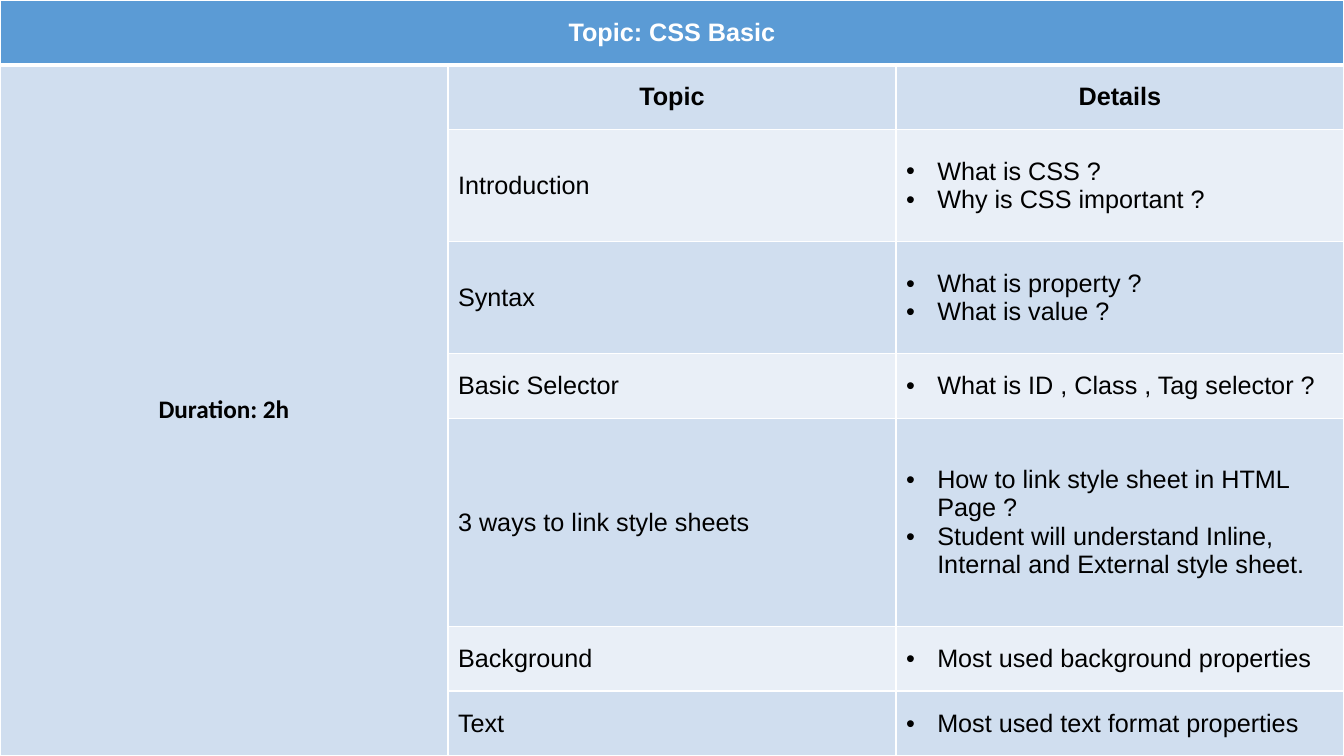
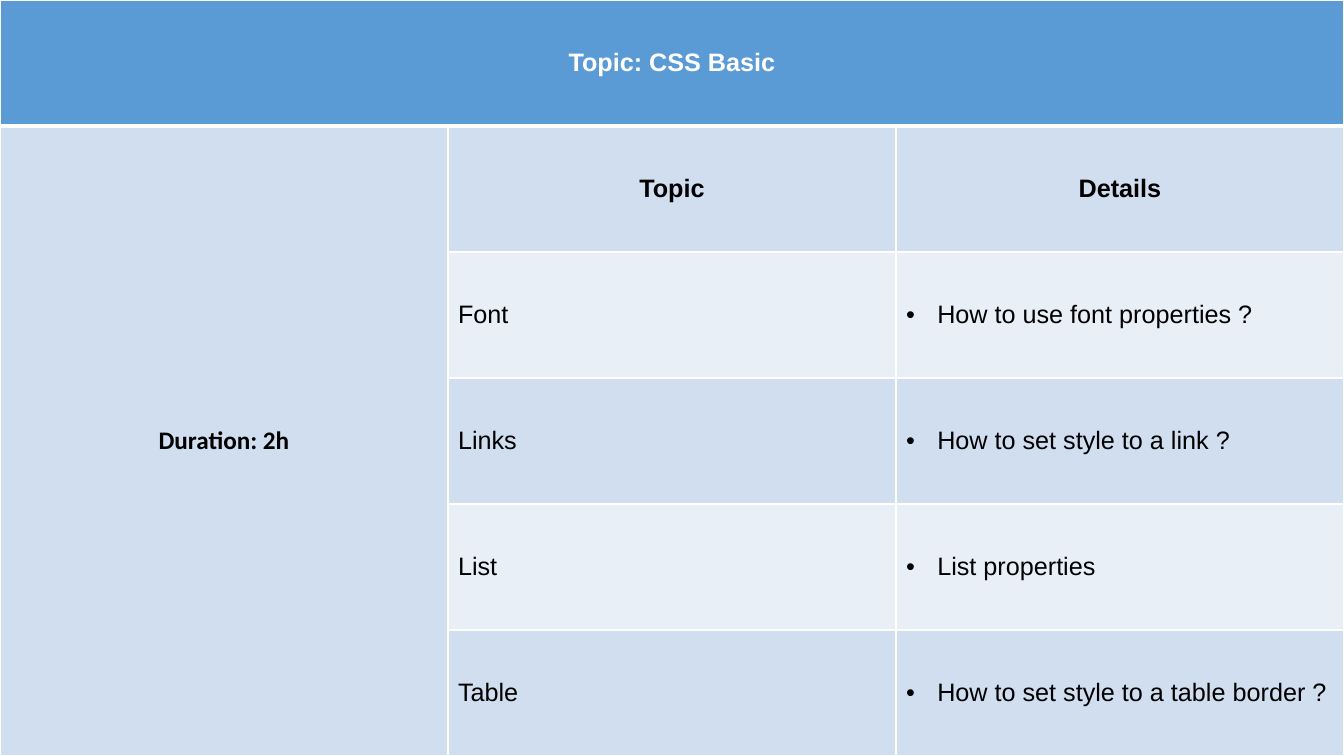
import lxml.etree
import pptx
import pptx.dml.color
import pptx.enum.text
import pptx.oxml.ns
import pptx.util

RGBColor = pptx.dml.color.RGBColor
Inches = pptx.util.Inches
Pt = pptx.util.Pt
ALIGN = pptx.enum.text.PP_ALIGN
qn = pptx.oxml.ns.qn

HEADER_BLUE = RGBColor(0x5B, 0x9B, 0xD5)
DARK_BAND = RGBColor(0xD0, 0xDE, 0xEF)
LIGHT_BAND = RGBColor(0xE9, 0xEF, 0xF7)
WHITE = RGBColor(0xFF, 0xFF, 0xFF)
BLACK = RGBColor(0x00, 0x00, 0x00)

SLIDE_WIDTH = Inches(13.333)
SLIDE_HEIGHT = Inches(7.5)
COLUMNS = 3
HEADER_ROWS = 2
BULLET_INDENT = Inches(0.31)
THIN_LINE = Pt(1)
THICK_LINE = Pt(3)

BASIC_TOPICS = [
    ("Introduction", ["What is CSS ?", "Why is CSS important ?"]),
    ("Syntax", ["What is property ?", "What is value ?"]),
    ("Basic Selector", ["What is ID , Class , Tag selector ?"]),
    ("3 ways to link style sheets", [
        "How to link style sheet in HTML Page ?",
        "Student will understand Inline, Internal and External style sheet.",
    ]),
    ("Background", ["Most used background properties"]),
    ("Text", ["Most used text format properties"]),
]
BASIC_ROW_SHARES = [0.64, 0.64, 1.11, 1.11, 0.64, 2.06, 0.64, 0.64]

STYLING_TOPICS = [
    ("Font", ["How to use font properties ?"]),
    ("Links", ["How to set style to a link ?"]),
    ("List", ["List properties"]),
    ("Table", ["How to set style to a table border ?"]),
]
STYLING_ROW_SHARES = [1] * 6


def add_border(cell, side, width):
    properties = cell._tc.get_or_add_tcPr()
    line = lxml.etree.SubElement(properties, qn(f"a:ln{side}"), w=str(width))
    fill = lxml.etree.SubElement(line, qn("a:solidFill"))
    lxml.etree.SubElement(fill, qn("a:srgbClr"), val=str(WHITE))


def style_cell(cell, row, column):
    add_border(cell, "L", THIN_LINE)
    add_border(cell, "R", THIN_LINE)
    add_border(cell, "T", THICK_LINE if row == 1 else THIN_LINE)
    add_border(cell, "B", THICK_LINE if row == 0 else THIN_LINE)
    cell.fill.solid()
    if row == 0:
        cell.fill.fore_color.rgb = HEADER_BLUE
    elif column == 0 or row % 2:
        cell.fill.fore_color.rgb = DARK_BAND
    else:
        cell.fill.fore_color.rgb = LIGHT_BAND
    cell.vertical_anchor = pptx.enum.text.MSO_ANCHOR.MIDDLE


def add_bullet(para):
    properties = para._p.get_or_add_pPr()
    properties.set("marL", str(BULLET_INDENT))
    properties.set("indent", str(-BULLET_INDENT))
    color = lxml.etree.SubElement(properties, qn("a:buClr"))
    lxml.etree.SubElement(color, qn("a:srgbClr"), val=str(BLACK))
    lxml.etree.SubElement(properties, qn("a:buFont"), typeface="Arial")
    lxml.etree.SubElement(properties, qn("a:buChar"), char="•")


def write_cell(cell, lines, bold=False, bulleted=False, color=BLACK, font="Arial"):
    cell.text = "\n".join(lines)
    for para in cell.text_frame.paragraphs:
        para.alignment = ALIGN.CENTER if bold else ALIGN.LEFT
        if bulleted:
            add_bullet(para)
        para.font.name = font
        para.font.size = Pt(18)
        para.font.bold = bold
        para.font.color.rgb = color


def add_schedule(deck, topics, row_shares):
    page = deck.slides.add_slide(deck.slide_layouts[6])
    row_count = HEADER_ROWS + len(topics)
    table = page.shapes.add_table(
        row_count, COLUMNS, 0, 0, SLIDE_WIDTH, SLIDE_HEIGHT
    ).table
    table.horz_banding = False
    for row, share in zip(table.rows, row_shares):
        row.height = int(SLIDE_HEIGHT * share / sum(row_shares))
    for row in range(row_count):
        for column in range(COLUMNS):
            style_cell(table.cell(row, column), row, column)

    table.cell(0, 0).merge(table.cell(0, COLUMNS - 1))
    table.cell(1, 0).merge(table.cell(row_count - 1, 0))
    write_cell(table.cell(0, 0), ["Topic: CSS Basic"], bold=True, color=WHITE)
    write_cell(table.cell(1, 0), ["Duration: 2h"], bold=True, font="Calibri")
    write_cell(table.cell(1, 1), ["Topic"], bold=True)
    write_cell(table.cell(1, 2), ["Details"], bold=True)
    for row, (topic, details) in enumerate(topics, start=HEADER_ROWS):
        write_cell(table.cell(row, 1), [topic])
        write_cell(table.cell(row, 2), details, bulleted=True)


def main():
    deck = pptx.Presentation()
    deck.slide_width = SLIDE_WIDTH
    deck.slide_height = SLIDE_HEIGHT
    add_schedule(deck, BASIC_TOPICS, BASIC_ROW_SHARES)
    add_schedule(deck, STYLING_TOPICS, STYLING_ROW_SHARES)
    deck.save("out.pptx")


if __name__ == "__main__":
    main()
